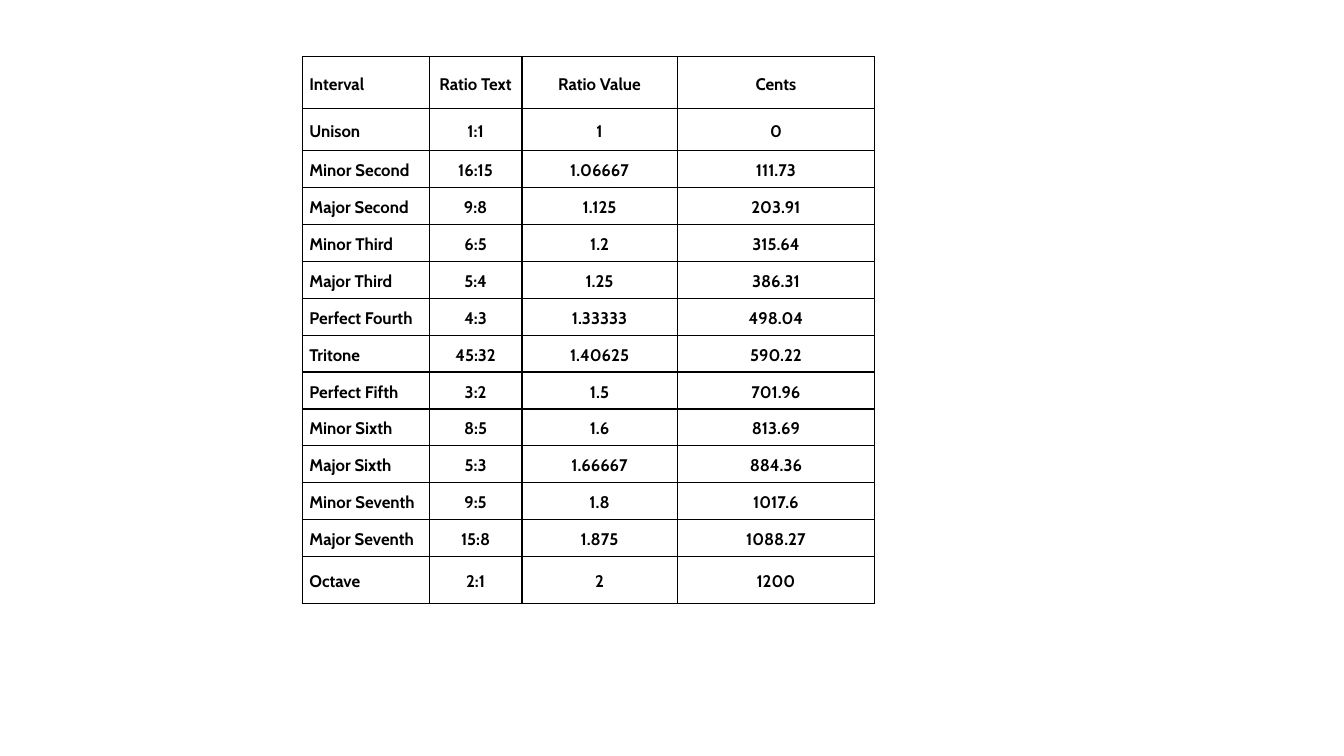
from lxml.etree import SubElement
from pptx import Presentation
from pptx.dml.color import RGBColor
from pptx.enum.text import MSO_ANCHOR, PP_ALIGN
from pptx.oxml.ns import qn
from pptx.util import Pt

# Content
HEADINGS = ("Interval", "Ratio Text", "Ratio Value", "Cents")
INTERVALS = [
    ("Unison", "1:1", "1", "0"),
    ("Minor Second", "16:15", "1.06667", "111.73"),
    ("Major Second", "9:8", "1.125", "203.91"),
    ("Minor Third", "6:5", "1.2", "315.64"),
    ("Major Third", "5:4", "1.25", "386.31"),
    ("Perfect Fourth", "4:3", "1.33333", "498.04"),
    ("Tritone", "45:32", "1.40625", "590.22"),
    ("Perfect Fifth", "3:2", "1.5", "701.96"),
    ("Minor Sixth", "8:5", "1.6", "813.69"),
    ("Major Sixth", "5:3", "1.66667", "884.36"),
    ("Minor Seventh", "9:5", "1.8", "1017.6"),
    ("Major Seventh", "15:8", "1.875", "1088.27"),
    ("Octave", "2:1", "2", "1200"),
]

# Layout in points
LEFT, TOP = 216, 40.2
COLUMN_WIDTHS = (90.6, 66.3, 110.8, 141.2)
HEADING_HEIGHT, UNISON_HEIGHT, STEP_HEIGHT, OCTAVE_HEIGHT = 37.4, 30.2, 26.35, 33.7
INK = "000000"


def color(hex_code):
    return RGBColor.from_string(hex_code)


def write(cell, text, *, align, size=12, font="Cabin", bold=True, ink=INK):
    paragraph = cell.text_frame.paragraphs[0]
    paragraph.alignment = align
    paragraph.line_spacing = 1.15
    paragraph.space_after = Pt(8)
    run = paragraph.add_run()
    run.text = text
    run.font.name = font
    run.font.size = Pt(size)
    run.font.bold = bold
    run.font.color.rgb = color(ink)


def style_cell(cell, ink=INK, width=1):
    cell.vertical_anchor = MSO_ANCHOR.MIDDLE
    cell.margin_left = cell.margin_right = Pt(5)
    cell.margin_top = cell.margin_bottom = 0
    # Borders come before the fill in the cell properties
    properties = cell._tc.get_or_add_tcPr()
    for side in ("a:lnL", "a:lnR", "a:lnT", "a:lnB"):
        border = SubElement(properties, qn(side), w=str(Pt(width)))
        border_fill = SubElement(border, qn("a:solidFill"))
        SubElement(border_fill, qn("a:srgbClr"), val=ink)
    cell.fill.background()


# Slide
deck = Presentation()
deck.slide_width, deck.slide_height = Pt(960), Pt(540)
slide = deck.slides.add_slide(deck.slide_layouts[6])

# Interval table
rows = [HEADINGS, *INTERVALS]
steps = len(INTERVALS) - 2
row_heights = [HEADING_HEIGHT, UNISON_HEIGHT, *[STEP_HEIGHT] * steps, OCTAVE_HEIGHT]
interval_table = slide.shapes.add_table(
    len(rows), len(HEADINGS), Pt(LEFT), Pt(TOP),
    Pt(sum(COLUMN_WIDTHS)), Pt(sum(row_heights))).table
interval_table.first_row = interval_table.horz_banding = False

for column, width in zip(interval_table.columns, COLUMN_WIDTHS):
    column.width = Pt(width)
for row, height, entries in zip(interval_table.rows, row_heights, rows):
    row.height = Pt(height)
    for position, (cell, entry) in enumerate(zip(row.cells, entries)):
        style_cell(cell)
        write(cell, entry, align=PP_ALIGN.CENTER if position else PP_ALIGN.LEFT)

deck.save("out.pptx")
